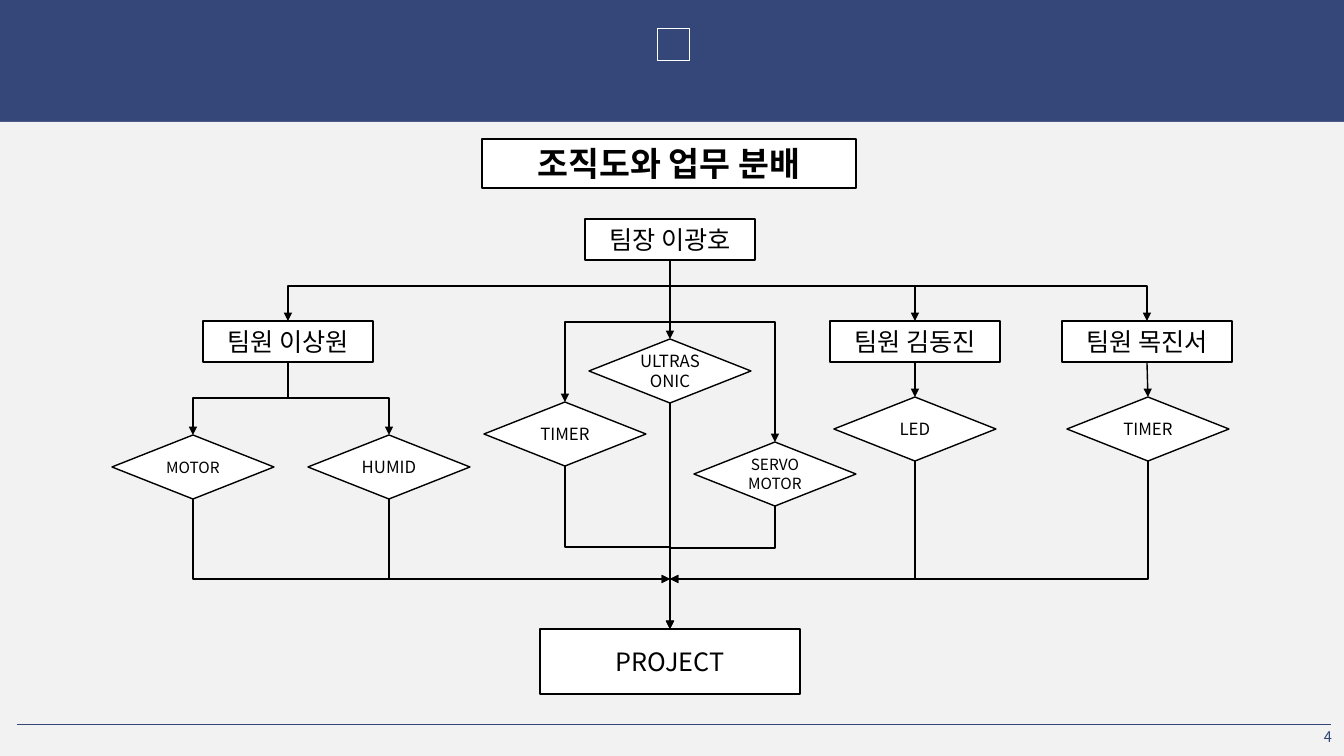
"""Build a team organisation chart that assigns parts of a project to members."""
from lxml import etree
from pptx import Presentation
from pptx import util as u
from pptx.dml.color import RGBColor
from pptx.enum import shapes, text
from pptx.oxml.ns import qn

SLIDE = (1344, 756)
EMU_PER_PX = 914400 / 100.8
FONT = "Noto Sans CJK KR"
COLORS = {"navy": "354779", "paper": "F2F2F2", "white": "FFFFFF", "black": "000000"}

BAND_HEIGHT = 122
EMBLEM = (657, 28, 32, 32)
FOOTER_RULE = ((17, 724), (1331, 724))
PAGE_NUMBER = ("4", (1031, 728, 301, 18))

STYLES = {
    "heading": {"size": (374, 49), "preset": "RECTANGLE", "bold": True},
    "person": {"size": (170, 41), "preset": "RECTANGLE", "bold": False},
    "part": {"size": (162, 64), "preset": "FLOWCHART_DECISION", "bold": False},
    "goal": {"size": (260, 65), "preset": "RECTANGLE", "bold": False},
}
# key: (style, wording, centre x, top y, point size)
NODES = {
    "heading": ("heading", "조직도와 업무 분배", 669, 139, 24),
    "leader": ("person", "팀장 이광호", 670, 219, 18),
    "sangwon": ("person", "팀원 이상원", 288, 321, 18),
    "dongjin": ("person", "팀원 김동진", 915, 321, 18),
    "jinseo": ("person", "팀원 목진서", 1147, 321, 18),
    "ultrasonic": ("part", "ULTRASONIC", 670, 339, 12),
    "led": ("part", "LED", 915, 397, 12),
    "timer_right": ("part", "TIMER", 1148, 397, 12),
    "timer_left": ("part", "TIMER", 565, 402, 12),
    "servo": ("part", "SERVO\vMOTOR", 775, 442, 11),
    "motor": ("part", "MOTOR", 193, 435, 11),
    "humidity": ("part", "HUMID", 389, 435, 12),
    "project": ("goal", "PROJECT", 670, 629, 18),
}
STRAIGHT = [
    ("leader", "ultrasonic"),
    ("ultrasonic", "project"),
    ("dongjin", "led"),
    ("jinseo", "timer_right"),
]
BRANCHES = [
    ((670, 286), "sangwon"),
    ((670, 286), "dongjin"),
    ((670, 286), "jinseo"),
    ((670, 322), "timer_left"),
    ((670, 322), "servo"),
    ((288, 398), "humidity"),
]
STEPS = [
    ("sangwon", "motor", 398),
    ("timer_left", "project", 547),
    ("servo", "project", 548),
]
MERGES = ["motor", "humidity", "led", "timer_right"]
MERGE_POINT = (670, 579)


def px(value):
    return u.Emu(round(value * EMU_PER_PX))


def rgb(name):
    return RGBColor.from_string(COLORS[name])


def apply(target, values):
    for name, value in values.items():
        setattr(target, name, value)


def write(shape, wording, size, color="black", bold=False, align="CENTER", inset=None):
    frame = shape.text_frame
    apply(frame, {"word_wrap": True, "vertical_anchor": text.MSO_ANCHOR.MIDDLE})
    if inset is not None:
        sides = ("margin_left", "margin_right", "margin_top", "margin_bottom")
        apply(frame, dict.fromkeys(sides, px(inset)))
    paragraph = frame.paragraphs[0]
    paragraph.text = wording
    paragraph.alignment = getattr(text.PP_ALIGN, align)
    for run in paragraph.runs:
        run.font.color.rgb = rgb(color)
        apply(run.font, {"name": FONT, "size": u.Pt(size), "bold": bold})
        etree.SubElement(run._r.get_or_add_rPr(), qn("a:ea"), typeface=FONT)


def add_box(slide, preset, box, fill=None, line=None, width=1):
    kind = getattr(shapes.MSO_SHAPE, preset)
    shape = slide.shapes.add_shape(kind, *map(px, box))
    shape.shadow.inherit = False
    if fill:
        shape.fill.solid()
        shape.fill.fore_color.rgb = rgb(fill)
    else:
        shape.fill.background()
    if line:
        shape.line.color.rgb = rgb(line)
        shape.line.width = u.Pt(width)
    else:
        shape.line.fill.background()
    return shape


def add_line(slide, start, end, kind="STRAIGHT", color="black", width=1, arrow=True):
    connector = slide.shapes.add_connector(
        getattr(shapes.MSO_CONNECTOR, kind), *map(px, (*start, *end)))
    connector.line.color.rgb = rgb(color)
    connector.line.width = u.Pt(width)
    properties = connector._element.spPr
    if arrow:
        etree.SubElement(properties.find(qn("a:ln")), qn("a:tailEnd"), type="triangle")
    etree.SubElement(properties, qn("a:effectLst"))
    return connector


def add_corner(slide, start, end):
    """Run sideways from start, then down to end."""
    corner = add_line(slide, start, end, "ELBOW")
    corner._element.spPr.find(qn("a:prstGeom")).set("prst", "bentConnector2")


def add_drop(slide, start, end, bend=None):
    """Run down from start, then sideways to end, or down again after a bend."""
    (x1, y1), (x2, y2) = start, end
    middle_x, middle_y = (x1 + x2) / 2, (y1 + y2) / 2
    half_run, half_rise = (y2 - y1) / 2, abs(x2 - x1) / 2
    side = 1 if x2 > x1 else -1
    drop = add_line(
        slide,
        (middle_x + side * half_run, middle_y - half_rise),
        (middle_x - side * half_run, middle_y + half_rise),
        "ELBOW",
    )
    properties = drop._element.spPr
    quarter_turns = 3 if side == 1 else 1
    properties.find(qn("a:xfrm")).set("rot", str(quarter_turns * 5400000))
    geometry = properties.find(qn("a:prstGeom"))
    if bend is None:
        geometry.set("prst", "bentConnector2")
    else:
        share = round((bend - y1) / (y2 - y1) * 100000)
        guides = geometry.get_or_add_avLst()
        etree.SubElement(guides, qn("a:gd"), name="adj1", fmla=f"val {share}")


def top(key):
    return NODES[key][2:4]


def bottom(key):
    style, _, center, y, _ = NODES[key]
    return center, y + STYLES[style]["size"][1]


def main():
    deck = Presentation()
    apply(deck, {"slide_width": px(SLIDE[0]), "slide_height": px(SLIDE[1])})
    slide = deck.slides.add_slide(deck.slide_layouts[6])
    slide.background.fill.solid()
    slide.background.fill.fore_color.rgb = rgb("navy")
    add_box(slide, "RECTANGLE", (0, BAND_HEIGHT, SLIDE[0], SLIDE[1] - BAND_HEIGHT), "paper")
    add_box(slide, "RECTANGLE", EMBLEM, line="white", width=0.25)
    add_line(slide, *FOOTER_RULE, color="navy", width=0.25, arrow=False)
    number, number_box = PAGE_NUMBER
    page = slide.shapes.add_textbox(*map(px, number_box))
    write(page, number, 10.5, "navy", align="RIGHT", inset=0)

    drawn = {}
    for key, (style, wording, center, y, size) in NODES.items():
        look = STYLES[style]
        width, height = look["size"]
        box = (center - width / 2, y, width, height)
        drawn[key] = add_box(slide, look["preset"], box, "white", "black")
        write(drawn[key], wording, size, bold=look["bold"])

    for source, target in STRAIGHT:
        link = add_line(slide, bottom(source), top(target))
        link.begin_connect(drawn[source], 2)
        link.end_connect(drawn[target], 0)
    for start, target in BRANCHES:
        add_corner(slide, start, top(target))
    for source, target, bend in STEPS:
        add_drop(slide, bottom(source), top(target), bend)
    for source in MERGES:
        add_drop(slide, bottom(source), MERGE_POINT)
    deck.save("out.pptx")


if __name__ == "__main__":
    main()
